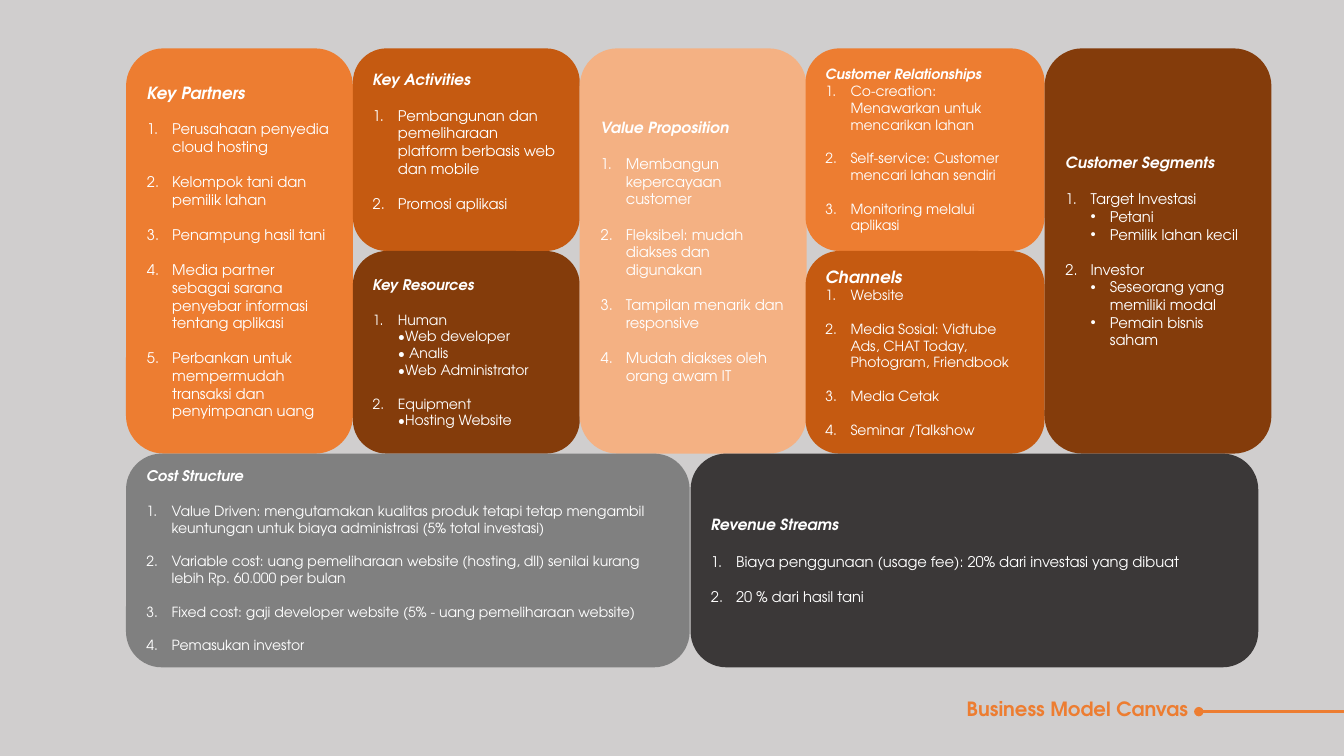
from lxml.etree import SubElement
from pptx import Presentation
from pptx.dml.color import RGBColor
from pptx.enum.shapes import MSO_CONNECTOR, MSO_SHAPE
from pptx.enum.text import MSO_ANCHOR, PP_ALIGN
from pptx.oxml.ns import qn
from pptx.util import Inches, Pt

FONT = "TeX Gyre Adventor"
ORANGE, RUST, BROWN, PEACH = "ED7D31", "C55A11", "843C0B", "F4B183"
GRAY, CHARCOAL, WHITE = "808080", "3B3838", "FFFFFF"
LINE_HEIGHT = 1.2  # height of a text line relative to its font size

# Columns and rows of the canvas
TOP, MIDDLE, BOTTOM = 0.48, 2.49, 4.5
HALF, FULL, BASE = 2.01, 4.02, 2.12
COLUMN, WIDE = 2.25, 2.37

# Left and first-line indents in inches for each kind of item
INDENTS = {"number": (0.25, -0.25), "bullet": (0.44, -0.19), "plain": (0.25, 0)}


def color(hex_string):
    return RGBColor.from_string(hex_string)


def add_text(paragraph, text, **format_values):
    run = paragraph.add_run()
    run.text = text
    run.font.color.rgb = color(format_values.pop("fill"))
    for name, value in {"name": FONT, **format_values}.items():
        setattr(run.font, name, value)


# Panels: heading, heading size, gap size below it, body size, fill, box, items
panels = [
    ("Key Partners", 12, 10.5, 10.5, ORANGE, (1.25, TOP, COLUMN, FULL), [
        ("number", "Perusahaan penyedia cloud hosting"),
        ("number", "Kelompok tani dan pemilik lahan"),
        ("number", "Penampung hasil tani"),
        ("number", "Media partner sebagai sarana penyebar informasi tentang aplikasi"),
        ("number", "Perbankan untuk mempermudah transaksi dan penyimpanan uang")]),
    ("Key Activities", 11, 11, 10.5, RUST, (3.5, TOP, COLUMN, HALF), [
        ("number", "Pembangunan dan pemeliharaan platform berbasis web dan mobile"),
        ("number", "Promosi aplikasi")]),
    ("Key Resources", 10.5, 10.5, 10, BROWN, (3.5, MIDDLE, COLUMN, HALF), [
        ("number", "Human"),
        ("plain", "•Web developer"),
        ("plain", "• Analis"),
        ("plain", "•Web Administrator"),
        ("number", "Equipment"),
        ("plain", "•Hosting Website")]),
    ("Value Proposition", 11, 11, 10.5, PEACH, (5.75, TOP, COLUMN, FULL), [
        ("number", "Membangun kepercayaan customer"),
        ("number", "Fleksibel: mudah diakses dan digunakan"),
        ("number", "Tampilan menarik dan responsive"),
        ("number", "Mudah diakses oleh orang awam IT")]),
    ("Customer Relationships", 10, 0, 10, ORANGE, (7.99, TOP, WIDE, HALF), [
        ("number", "Co-creation: Menawarkan untuk mencarikan lahan"),
        ("number", "Self-service: Customer mencari lahan sendiri"),
        ("number", "Monitoring melalui aplikasi")]),
    ("Channels", 12, 0, 10, RUST, (7.99, MIDDLE, WIDE, HALF), [
        ("number", "Website"),
        ("number", "Media Sosial: Vidtube Ads, CHAT Today, Photogram, Friendbook"),
        ("number", "Media Cetak"),
        ("number", "Seminar /Talkshow")]),
    ("Customer Segments", 11, 11, 10.5, BROWN, (10.36, TOP, COLUMN, FULL), [
        ("number", "Target Investasi"),
        ("bullet", "Petani"),
        ("bullet", "Pemilik lahan kecil"),
        ("number", "Investor"),
        ("bullet", "Seseorang yang memiliki modal"),
        ("bullet", "Pemain bisnis saham")]),
    ("Cost Structure", 10.5, 10.5, 10, GRAY, (1.25, BOTTOM, 5.59, BASE), [
        ("number", "Value Driven: mengutamakan kualitas produk tetapi tetap mengambil "
                   "keuntungan untuk biaya administrasi (5% total investasi)"),
        ("number", "Variable cost: uang pemeliharaan website (hosting, dll) senilai "
                   "kurang lebih Rp. 60.000 per bulan"),
        ("number", "Fixed cost: gaji developer website (5% - uang pemeliharaan website)"),
        ("number", "Pemasukan investor")]),
    ("Revenue Streams", 11, 11, 10.5, CHARCOAL, (6.85, BOTTOM, 5.63, BASE), [
        ("number", "Biaya penggunaan (usage fee): 20% dari investasi yang dibuat"),
        ("number", "20 % dari hasil tani")]),
]

presentation = Presentation()
presentation.slide_width = Inches(13.33)
presentation.slide_height = Inches(7.5)
slide = presentation.slides.add_slide(presentation.slide_layouts[6])
slide.background.fill.solid()
slide.background.fill.fore_color.rgb = color("D0CECE")

# Slide title
title = slide.shapes.add_textbox(*map(Inches, (9.49, 6.79, 3.37, 0.51)))
title.text_frame.word_wrap = True
title.text_frame.vertical_anchor = MSO_ANCHOR.MIDDLE
paragraph = title.text_frame.paragraphs[0]
paragraph.line_spacing = 0.9
add_text(paragraph, "Business Model Canvas", size=Pt(14), bold=True, fill=ORANGE)

# Rule running to the slide edge, with a round start
rule = slide.shapes.add_connector(
    MSO_CONNECTOR.STRAIGHT, *map(Inches, (11.89, 7.06, 13.33, 7.06)))
rule.line.color.rgb = color(ORANGE)
rule.line.width = Pt(2.25)
SubElement(rule.line._get_or_add_ln(), qn("a:headEnd"), type="oval")
SubElement(rule._element.spPr, qn("a:effectLst"))

# Canvas panels
for heading, heading_size, lead_size, body_size, fill, box, items in panels:
    panel = slide.shapes.add_shape(MSO_SHAPE.ROUNDED_RECTANGLE, *map(Inches, box))
    panel.shadow.inherit = False
    panel.fill.solid()
    panel.fill.fore_color.rgb = color(fill)
    panel.line.fill.background()
    frame = panel.text_frame
    frame.word_wrap = True
    frame.vertical_anchor = MSO_ANCHOR.MIDDLE
    if heading == "Key Activities":
        frame.margin_bottom = Inches(0.22)  # lifts the text by half a line

    paragraph = frame.paragraphs[0]
    paragraph.alignment = PP_ALIGN.LEFT
    add_text(paragraph, heading, size=Pt(heading_size), bold=True, italic=True, fill=WHITE)

    number, previous, gap_size = 0, None, lead_size
    for kind, text in items:
        paragraph = frame.add_paragraph()
        paragraph.alignment = PP_ALIGN.LEFT
        add_text(paragraph, text, size=Pt(body_size), bold=False, italic=False, fill=WHITE)
        left, first_line = INDENTS[kind]
        properties = paragraph._p.get_or_add_pPr()
        properties.set("marL", str(Inches(left)))
        properties.set("indent", str(Inches(first_line)))
        if kind == "number":
            number += 1
            paragraph.space_before = Pt(gap_size * LINE_HEIGHT)
            gap_size = body_size
            SubElement(properties, qn("a:buFont"), typeface="+mj-lt")
            marker = SubElement(properties, qn("a:buAutoNum"), type="arabicPeriod")
            if number > 1 and previous != "number":
                marker.set("startAt", str(number))
        elif kind == "bullet":
            SubElement(properties, qn("a:buFont"), typeface="Arial")
            SubElement(properties, qn("a:buChar"), char="•")
        previous = kind

presentation.save("out.pptx")
